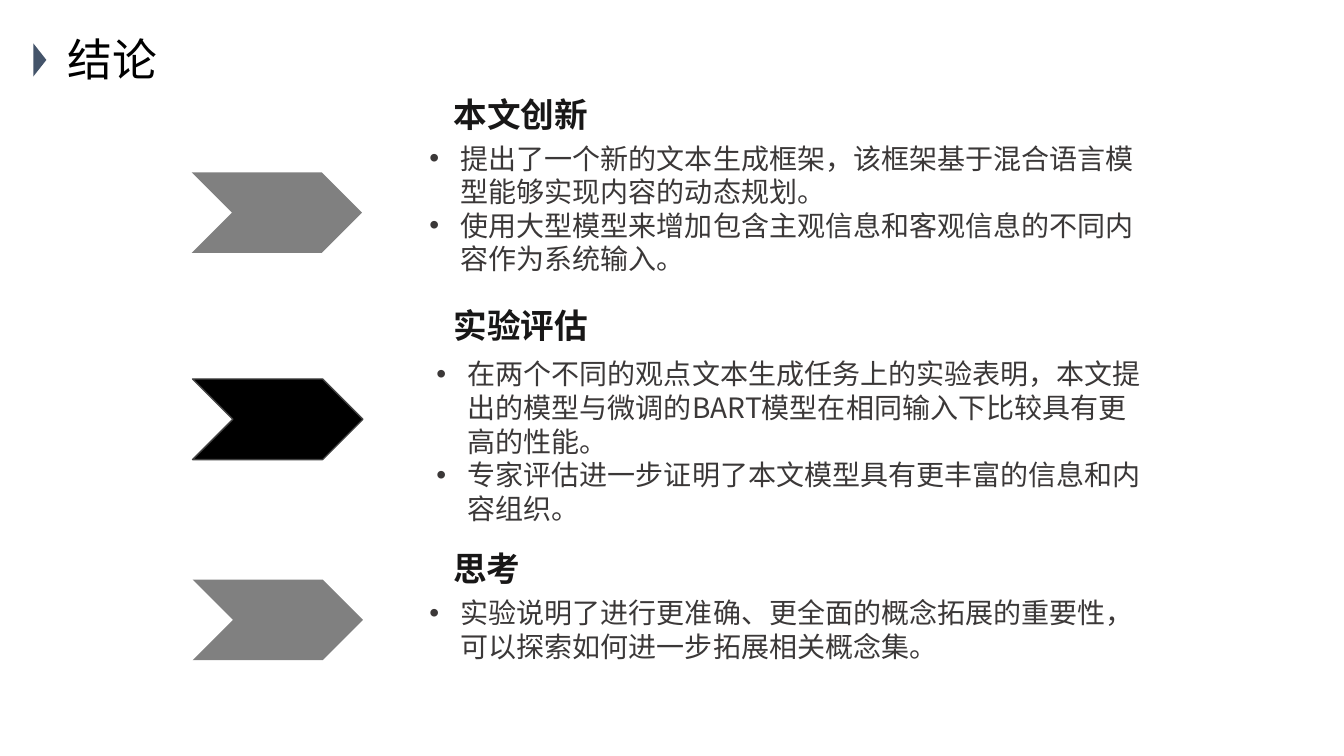
"""Build the conclusions slide: three chevrons, each with a heading and bullets."""
from lxml.etree import SubElement
from pptx import Presentation
from pptx.dml.color import RGBColor
from pptx.enum.shapes import MSO_SHAPE
from pptx.enum.text import PP_ALIGN
from pptx.oxml.ns import qn
from pptx.util import Inches, Pt

FONT = "Noto Sans CJK SC"
BLACK = RGBColor(0x00, 0x00, 0x00)
GRAY = RGBColor(0x80, 0x80, 0x80)
OUTLINE = RGBColor(0x42, 0x42, 0x42)
SLATE = RGBColor(0x44, 0x54, 0x6A)
HEADING = RGBColor(0x18, 0x17, 0x17)
BODY = RGBColor(0x3B, 0x38, 0x38)

TITLE = "结论"
SECTIONS = [
    {"heading": "本文创新", "heading_box": (4.39, 0.88, 1.55, 0.5),
     "bullets": ["提出了一个新的文本生成框架，该框架基于混合语言模型能够实现内容的动态规划。",
                 "使用大型模型来增加包含主观信息和客观信息的不同内容作为系统输入。"],
     "bullets_box": (4.16, 1.35, 7.19, 1.45),
     "chevron": (1.9, 1.71), "fill": GRAY, "line": None},
    {"heading": "实验评估", "heading_box": (4.39, 2.98, 1.55, 0.5),
     "bullets": ["在两个不同的观点文本生成任务上的实验表明，本文提出的模型与微调的BART模型在相同输入下比较具有更高的性能。",
                 "专家评估进一步证明了本文模型具有更丰富的信息和内容组织。"],
     "bullets_box": (4.23, 3.49, 7.19, 1.78),
     "chevron": (1.91, 3.76), "fill": BLACK, "line": OUTLINE},
    {"heading": "思考", "heading_box": (4.39, 5.39, 0.88, 0.5),
     "bullets": ["实验说明了进行更准确、更全面的概念拓展的重要性，可以探索如何进一步拓展相关概念集。"],
     "bullets_box": (4.16, 5.86, 7.19, 0.77),
     "chevron": (1.91, 5.75), "fill": GRAY, "line": None},
]
CHEVRON_SIZE = (1.69, 0.8)
BULLET_INDENT = Inches(0.31)


def add_bullet(paragraph):
    properties = paragraph._p.get_or_add_pPr()
    properties.set("marL", str(BULLET_INDENT))
    properties.set("indent", str(-BULLET_INDENT))
    SubElement(properties, qn("a:buFont"), typeface="Arial")
    SubElement(properties, qn("a:buChar"), char="•")


def add_text(slide, box, lines, size, color, bold=False, wrap=True, align=None, bullets=False):
    frame = slide.shapes.add_textbox(*map(Inches, box)).text_frame
    frame.word_wrap = wrap
    frame.text = "\n".join(lines)
    for paragraph in frame.paragraphs:
        paragraph.alignment = align
        if bullets:
            add_bullet(paragraph)
        for run in paragraph.runs:
            run.font.name = FONT
            run.font.size = Pt(size)
            run.font.bold = bold
            run.font.color.rgb = color
            SubElement(run.font._element, qn("a:ea"), typeface=FONT)


def add_filled(slide, preset, box, fill, line=None):
    shape = slide.shapes.add_shape(preset, *map(Inches, box))
    shape.shadow.inherit = False
    shape.fill.solid()
    shape.fill.fore_color.rgb = fill
    if line is None:
        shape.line.fill.background()
    else:
        shape.line.color.rgb = line
        shape.line.width = Pt(1)
    return shape


def main():
    deck = Presentation()
    deck.slide_width, deck.slide_height = Inches(13.33), Inches(7.5)
    slide = deck.slides.add_slide(deck.slide_layouts[6])

    add_text(slide, (0.57, 0.27, 9.18, 0.64), [TITLE], 32, BLACK)
    marker = add_filled(slide, MSO_SHAPE.ISOSCELES_TRIANGLE, (0.23, 0.53, 0.33, 0.13), SLATE)
    marker.rotation = 90

    for section in SECTIONS:
        add_filled(slide, MSO_SHAPE.CHEVRON, section["chevron"] + CHEVRON_SIZE,
                   section["fill"], section["line"])
        add_text(slide, section["bullets_box"], section["bullets"], 20, BODY, bullets=True)
        add_text(slide, section["heading_box"], [section["heading"]], 24, HEADING,
                 bold=True, wrap=False, align=PP_ALIGN.CENTER)

    deck.save("out.pptx")


if __name__ == "__main__":
    main()
